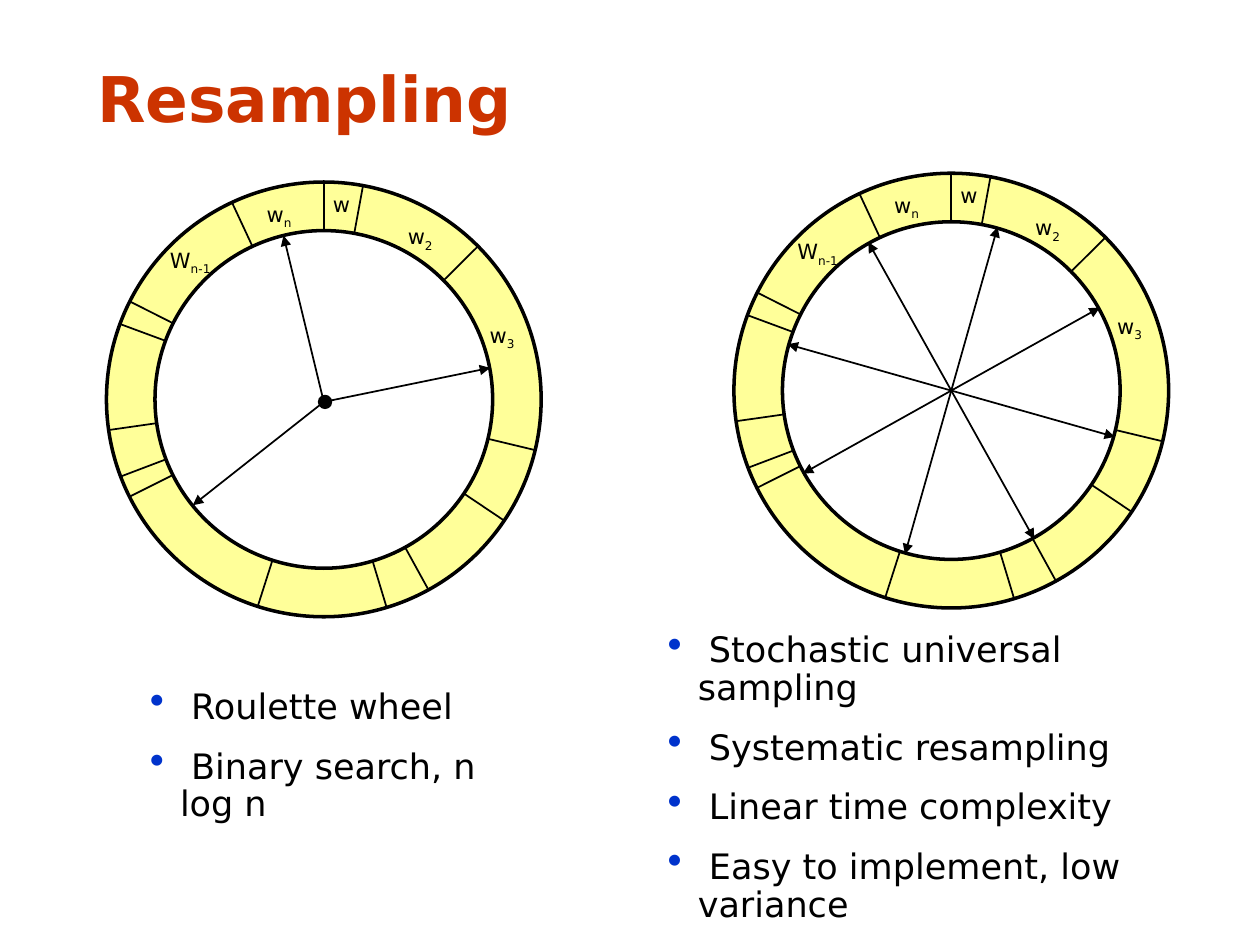
import math

import pptx
import pptx.util
import pptx.dml.color
import pptx.enum.shapes
import pptx.enum.text
import pptx.oxml
import pptx.oxml.ns

Inches = pptx.util.Inches
Pt = pptx.util.Pt
RGBColor = pptx.dml.color.RGBColor
Align = pptx.enum.text.PP_ALIGN
Anchor = pptx.enum.text.MSO_ANCHOR
Fit = pptx.enum.text.MSO_AUTO_SIZE

BLACK = RGBColor(0x00, 0x00, 0x00)
WHITE = RGBColor(0xFF, 0xFF, 0xFF)
YELLOW = RGBColor(0xFF, 0xFF, 0x99)
RED = RGBColor(0xCC, 0x33, 0x00)
BLUE = RGBColor(0x00, 0x33, 0xCC)

RIM = 1.725
HUB = 1.34
# Clockwise degrees from the top
CUTS = (0, 10.4, 45.2, 103.5, 123.9, 151.2, 163.2, 197.7,
        243.4, 249.2, 261.9, 290.3, 296.8, 335)
# Label, subscript, box offset from the wheel centre, box width
LABELS = (("w", "2", 0.56, -1.44, 0.41),
          ("w", "3", 1.21, -0.66, 0.41),
          ("w", "1", -0.05, -1.68, 0.38),
          ("w", "n", -0.56, -1.62, 0.41),
          ("W", "n-1", -1.34, -1.25, 0.56))


def polar(x, y, r, deg):
    a = math.radians(deg)
    return x + r * math.sin(a), y - r * math.cos(a)


class Deck:
    font = "DejaVu Sans"

    def __init__(self, slide):
        self.slide = slide
        self.shapes = slide.shapes

    def run(self, para, text, size, color=BLACK, bold=False):
        run = para.add_run()
        run.text = text
        font = run.font
        font.name, font.size, font.bold = self.font, Pt(size), bold
        font.color.rgb = color
        return run

    def title(self, text, x, y, w, h):
        box = self.slide.shapes.title
        box.left, box.top = Inches(x), Inches(y)
        box.width, box.height = Inches(w), Inches(h)
        frame = box.text_frame
        frame.auto_size = Fit.NONE
        frame.vertical_anchor = Anchor.BOTTOM
        para = frame.paragraphs[0]
        para.alignment = Align.LEFT
        self.run(para, text, 36, RED, True)

    def frame(self, x, y, w, h):
        box = self.shapes.add_textbox(Inches(x), Inches(y), Inches(w), Inches(h))
        frame = box.text_frame
        frame.word_wrap = True
        frame.auto_size = Fit.SHAPE_TO_FIT_TEXT
        return frame

    def label(self, text, sub, x, y, w):
        para = self.frame(x, y, w, 0.31).paragraphs[0]
        para.alignment = Align.CENTER
        para.line_spacing = 0.9
        self.run(para, text, 12)
        low = self.run(para, sub, 12)
        low.font._element.set("baseline", "-25000")

    def bullets(self, items, x, y, w, h):
        frame = self.frame(x, y, w, h)
        for i, text in enumerate(items):
            para = frame.add_paragraph() if i else frame.paragraphs[0]
            para.line_spacing = 0.9
            para.space_before = Pt(12.5)
            self.run(para, text, 20)
            props = para._p.get_or_add_pPr()
            props.set("marL", str(Inches(0.24)))
            props.set("indent", str(-Inches(0.24)))
            ns = pptx.oxml.ns.nsdecls("a")
            for xml in (f'<a:buClr {ns}><a:srgbClr val="{BLUE}"/></a:buClr>',
                        f'<a:buSzPct {ns} val="120000"/>',
                        f'<a:buChar {ns} char="•"/>'):
                props.append(pptx.oxml.parse_xml(xml))

    def disc(self, x, y, r, fill, width):
        kind = pptx.enum.shapes.MSO_SHAPE.OVAL
        disc = self.shapes.add_shape(kind, Inches(x - r), Inches(y - r),
                                     Inches(2 * r), Inches(2 * r))
        disc.shadow.inherit = False
        disc.fill.solid()
        disc.fill.fore_color.rgb = fill
        disc.line.color.rgb = BLACK
        disc.line.width = Pt(width)

    def line(self, start, end, *tips):
        kind = pptx.enum.shapes.MSO_CONNECTOR.STRAIGHT
        line = self.shapes.add_connector(kind, *map(Inches, start + end))
        line.line.color.rgb = BLACK
        line.line.width = Pt(1)
        ns = pptx.oxml.ns.nsdecls("a")
        for tip in tips:
            line.line._get_or_add_ln().append(
                pptx.oxml.parse_xml(f'<a:{tip} {ns} type="triangle"/>'))
        line._element.spPr.append(pptx.oxml.parse_xml(f"<a:effectLst {ns}/>"))

    def wheel(self, x, y, spokes=()):
        self.shapes = self.slide.shapes.add_group_shape().shapes
        self.disc(x, y, RIM, YELLOW, 2)
        for cut in CUTS:
            self.line((x, y), polar(x, y, RIM, cut))
        for text, sub, dx, dy, w in LABELS:
            self.label(text, sub, x + dx, y + dy, w)
        self.disc(x, y, HUB, WHITE, 2)
        for deg in spokes:
            self.line(polar(x, y, HUB + 0.01, deg + 180),
                      polar(x, y, HUB + 0.01, deg), "headEnd", "tailEnd")
        self.shapes = self.slide.shapes


def main():
    prs = pptx.Presentation()
    prs.slide_width, prs.slide_height = Inches(10), Inches(7.5)
    deck = Deck(prs.slides.add_slide(prs.slide_layouts[5]))
    deck.title("Resampling", 0.67, 0.42, 9.21, 0.7)

    # Wheel with evenly spaced arrows
    deck.wheel(7.55, 3.1, [15.8 + 45 * i for i in range(4)])

    # Roulette wheel with three single arrows
    deck.wheel(2.57, 3.17)
    for end in ((3.89, 2.92), (2.25, 1.87), (1.53, 4.01)):
        deck.line((2.57, 3.19), end, "tailEnd")
    deck.disc(2.58, 3.19, 0.05, BLACK, 1)

    # Notes under each wheel
    deck.bullets([" Roulette wheel", " Binary search, n log n"],
                 1.09, 5.42, 3.22, 0.88)
    deck.bullets([" Stochastic universal sampling", " Systematic resampling",
                  " Linear time complexity", " Easy to implement, low variance"],
                 5.2, 4.97, 4.6, 1.82)
    prs.save("out.pptx")


if __name__ == "__main__":
    main()
